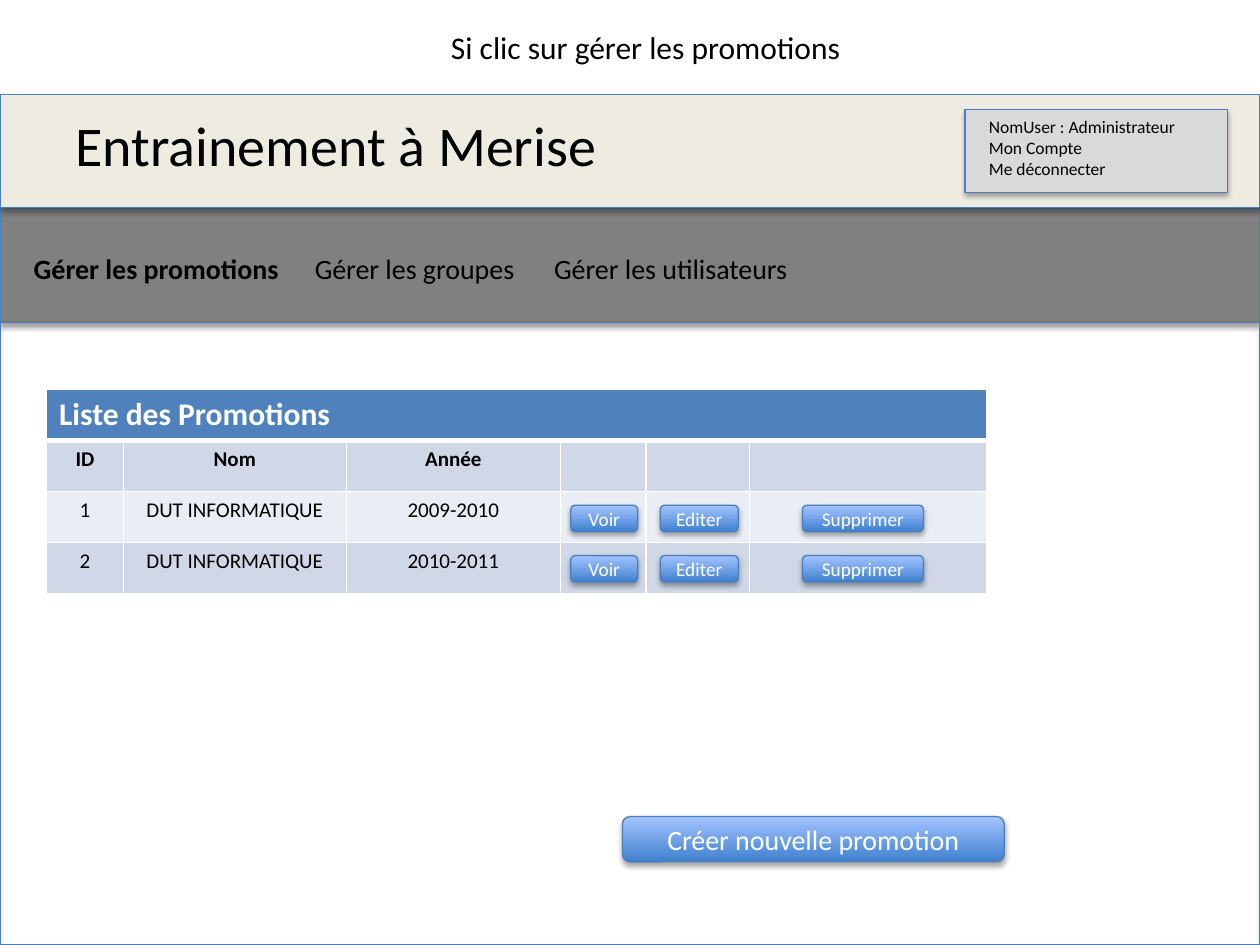
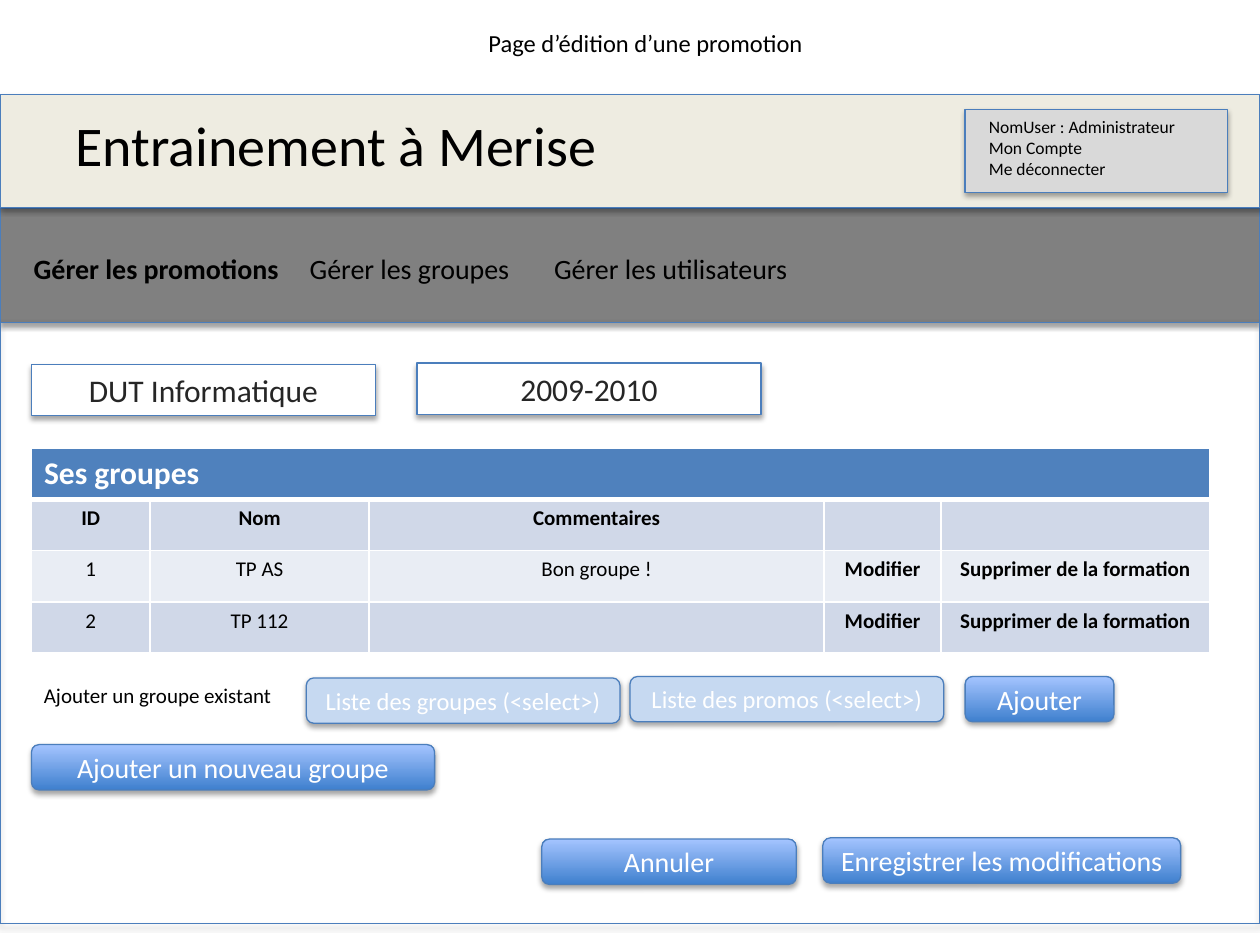
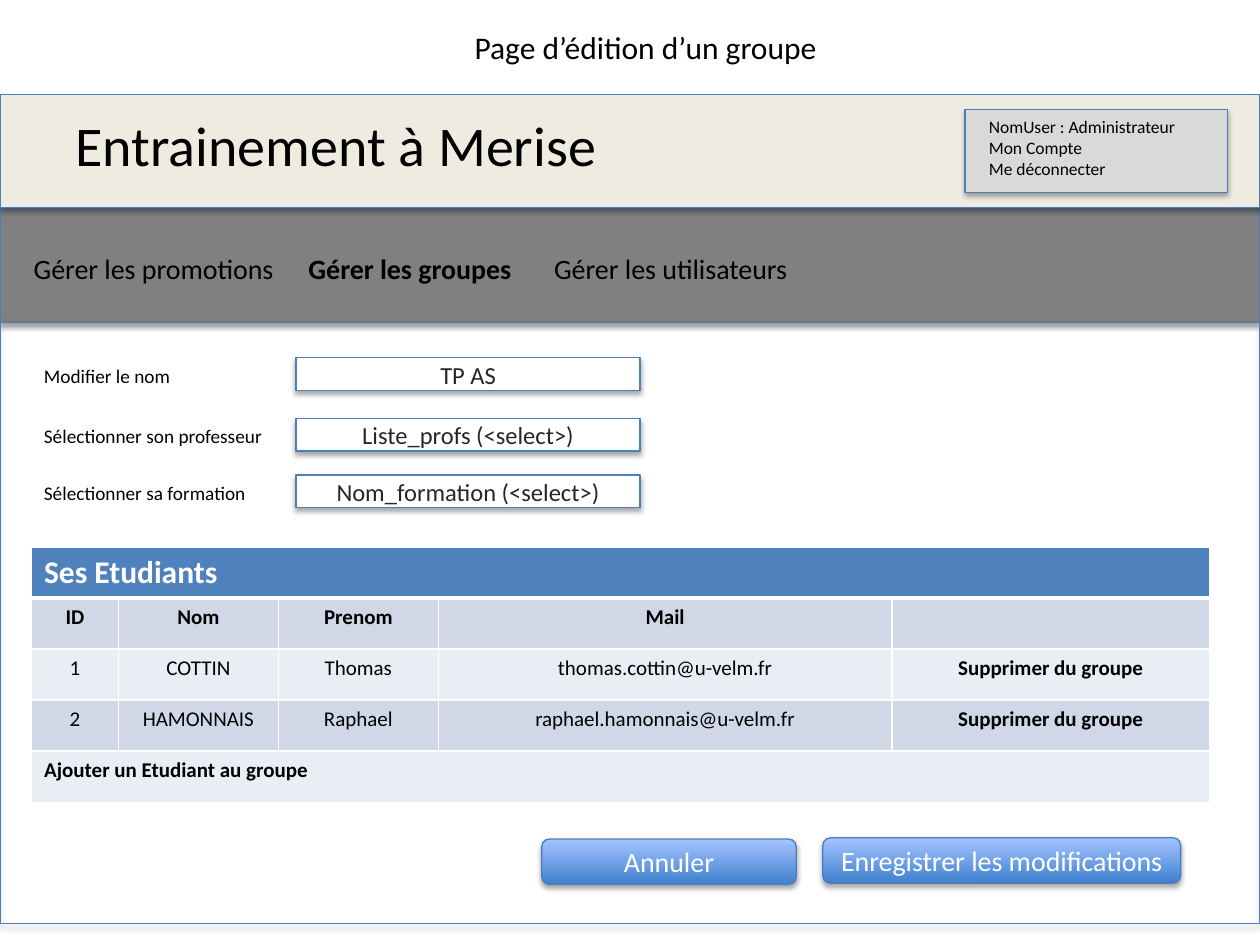
from lxml.etree import SubElement
from pptx import Presentation
from pptx.dml.color import RGBColor
from pptx.enum.shapes import MSO_SHAPE
from pptx.enum.text import MSO_ANCHOR, MSO_AUTO_SIZE, PP_ALIGN
from pptx.oxml.ns import qn
from pptx.util import Pt

# Shared look
FONT = "Calibri"
BLACK = RGBColor(0x00, 0x00, 0x00)
WHITE = RGBColor(0xFF, 0xFF, 0xFF)
INK = RGBColor(0x26, 0x26, 0x26)
OUTLINE = RGBColor(0x4B, 0x7E, 0xBC)
HEADER_CREAM = RGBColor(0xEE, 0xEC, 0xE1)
MENU_GREY = RGBColor(0x80, 0x80, 0x80)
ACCOUNT_GREY = RGBColor(0xD9, 0xD9, 0xD9)
SELECT_BLUE = RGBColor(0xC6, 0xD9, 0xF1)
BUTTON_DARK = RGBColor(0x3F, 0x80, 0xCE)
BUTTON_LIGHT = RGBColor(0xA4, 0xC4, 0xFF)
TABLE_HEAD = RGBColor(0x4F, 0x81, 0xBD)
TABLE_BANDS = (RGBColor(0xE9, 0xED, 0xF4), RGBColor(0xD0, 0xD8, 0xE8))

SLIDE_WIDTH, SLIDE_HEIGHT = 720, 540
HEADER_TOP, MENU_TOP, PAGE_TOP = 54, 118.8, 184.3
PAGE_BOTTOM = 527.8
MARGIN = 18
ROW_HEIGHT = 29.2
BUTTON_HEIGHT = 25.9


def box(left, top, width, height):
    return Pt(left), Pt(top), Pt(width), Pt(height)


def write(frame, text, size, color=BLACK, bold=False, align=PP_ALIGN.LEFT):
    """Fill a text frame, one paragraph per line of text."""
    frame.text = text
    for paragraph in frame.paragraphs:
        paragraph.alignment = align
        font = paragraph.font
        font.name, font.size, font.bold = FONT, Pt(size), bold
        font.color.rgb = color


def add_label(slide, bounds, text, size, bold=False):
    frame = slide.shapes.add_textbox(*box(*bounds)).text_frame
    frame.word_wrap = True
    frame.auto_size = MSO_AUTO_SIZE.SHAPE_TO_FIT_TEXT
    write(frame, text, size, bold=bold)


def add_shadow(shape):
    shape.shadow.inherit = False
    effects = shape._element.spPr.find(qn("a:effectLst"))
    shadow = SubElement(effects, qn("a:outerShdw"), blurRad=str(Pt(3.1)),
                        dist=str(Pt(1.8)), dir="5400000", rotWithShape="0")
    black = SubElement(shadow, qn("a:srgbClr"), val=str(BLACK))
    SubElement(black, qn("a:alpha"), val="35000")


def add_panel(slide, bounds, fill=None, kind=MSO_SHAPE.RECTANGLE):
    """Add an outlined shape with a soft shadow, hollow when no fill is given."""
    shape = slide.shapes.add_shape(kind, *box(*bounds))
    if fill is None:
        shape.fill.background()
    else:
        shape.fill.solid()
        shape.fill.fore_color.rgb = fill
    shape.line.color.rgb = OUTLINE
    shape.line.width = Pt(0.75)
    add_shadow(shape)
    return shape


def add_field(slide, bounds, text, size):
    shape = add_panel(slide, bounds, WHITE)
    write(shape.text_frame, text, size, INK, align=PP_ALIGN.CENTER)


def add_select(slide, bounds, text):
    shape = add_panel(slide, bounds, SELECT_BLUE, MSO_SHAPE.ROUNDED_RECTANGLE)
    write(shape.text_frame, text, 14, WHITE, align=PP_ALIGN.CENTER)


def add_button(slide, left, top, width, text, height=BUTTON_HEIGHT, size=16):
    shape = add_panel(slide, (left, top, width, height),
                      kind=MSO_SHAPE.ROUNDED_RECTANGLE)
    shape.fill.gradient()
    shape.fill.gradient_angle = 90
    for stop, color in zip(shape.fill.gradient_stops, (BUTTON_DARK, BUTTON_LIGHT)):
        stop.color.rgb = color
    write(shape.text_frame, text, size, WHITE, align=PP_ALIGN.CENTER)


def set_borders(cell, bottom):
    properties = cell._tc.get_or_add_tcPr()
    for side, width in (("L", 1), ("R", 1), ("T", 1), ("B", bottom)):
        line = SubElement(properties, qn("a:ln" + side), w=str(Pt(width)))
        fill = SubElement(line, qn("a:solidFill"))
        SubElement(fill, qn("a:srgbClr"), val=str(WHITE))


def add_list(slide, left, top, widths, title, rows, first_action, footer=None):
    """Add a banded table: title row, column names, records, optional footer."""
    blanks = [""] * (len(widths) - 1)
    lines = [[title] + blanks] + rows
    if footer:
        lines.append([footer] + blanks)
    table = slide.shapes.add_table(
        len(lines), len(widths),
        *box(left, top, sum(widths), ROW_HEIGHT * len(lines))).table
    for column, width in zip(table.columns, widths):
        column.width = Pt(width)

    for row, texts in enumerate(lines):
        table.rows[row].height = Pt(ROW_HEIGHT)
        is_title = row == 0
        spans = is_title or row > len(rows)
        for column, text in enumerate(texts):
            cell = table.cell(row, column)
            set_borders(cell, 3 if is_title else 1)
            cell.fill.solid()
            cell.fill.fore_color.rgb = TABLE_HEAD if is_title else TABLE_BANDS[row % 2]
            write(cell.text_frame, text, 18 if is_title else 12,
                  WHITE if is_title else BLACK,
                  bold=spans or row == 1 or column >= first_action,
                  align=PP_ALIGN.LEFT if spans else PP_ALIGN.CENTER)
        if spans:
            table.cell(row, 0).merge(table.cell(row, len(widths) - 1))


def add_page(presentation, caption, active, groups_left,
             caption_size=18, caption_height=29.1, page_bottom=PAGE_BOTTOM):
    """Add a slide with its caption, site header, menu and page frame."""
    slide = presentation.slides.add_slide(presentation.slide_layouts[5])
    title = slide.shapes.title
    title.left, title.top, title.width, title.height = box(
        138.2, 12.2, 461.5, caption_height)
    frame = title.text_frame
    frame.auto_size = MSO_AUTO_SIZE.NONE
    frame.vertical_anchor = MSO_ANCHOR.TOP
    write(frame, caption, caption_size, align=PP_ALIGN.CENTER)

    # Header and account box
    add_panel(slide, (0, MENU_TOP, SLIDE_WIDTH, PAGE_TOP - MENU_TOP), MENU_GREY)
    add_panel(slide, (0, HEADER_TOP, SLIDE_WIDTH, MENU_TOP - HEADER_TOP), HEADER_CREAM)
    add_label(slide, (36, 59.8, 318.2, 46), "Entrainement à Merise", 32)
    add_panel(slide, (551.5, 62.6, 149.8, 47.5), ACCOUNT_GREY)
    add_label(slide, (558, 62.6, 123.1, 43.9),
              "NomUser : Administrateur\nMon Compte\nMe déconnecter", 10)

    # Menu, with the current entry in bold
    menu = (("promotions", 12.2, 165), ("groupes", groups_left, 131.8),
            ("utilisateurs", 309.6, 160.6))
    for entry, left, width in menu:
        add_label(slide, (left, 140.4, width, 26.6), f"Gérer les {entry}", 16,
                  bold=entry == active)

    add_panel(slide, (0, PAGE_TOP, SLIDE_WIDTH, page_bottom - PAGE_TOP))
    return slide


def add_form_buttons(slide):
    add_button(slide, 309.6, 479.5, 145.4, "Annuler")
    add_button(slide, 470.2, 478.8, 204.5, "Enregistrer les modifications")


def build_promotions(presentation):
    slide = add_page(presentation, "Si clic sur gérer les promotions", "promotions",
                     172.8, page_bottom=SLIDE_HEIGHT)
    rows = [["ID", "Nom", "Année", "", "", ""],
            ["1", "DUT INFORMATIQUE", "2009-2010", "", "", ""],
            ["2", "DUT INFORMATIQUE", "2010-2011", "", "", ""]]
    add_list(slide, 26.6, 222.5, (43.9, 127.4, 122.4, 49, 59, 135.4),
             "Liste des Promotions", rows, first_action=3)
    for top in (288.7, 317.5):
        for left, width, text in ((326.2, 38.2, "Voir"), (377.3, 44.6, "Editer"),
                                  (458.6, 69.1, "Supprimer")):
            add_button(slide, left, top, width, text, height=15.1, size=11)
    add_button(slide, 355.7, 466.6, 218.2, "Créer nouvelle promotion")


def build_promotion_form(presentation):
    slide = add_page(presentation, "Page d’édition d’une promotion", "promotions",
                     169.9, caption_size=14, caption_height=24.2)
    add_form_buttons(slide)
    actions = ["Modifier", "Supprimer de la formation"]
    rows = [["ID", "Nom", "Commentaires", "", ""],
            ["1", "TP AS", "Bon groupe !"] + actions,
            ["2", "TP 112", ""] + actions]
    add_list(slide, MARGIN, 256.3, (67.7, 125.3, 259.9, 67, 153.3),
             "Ses groupes", rows, first_action=3)
    add_field(slide, (MARGIN, 208.1, 196.6, 29.5), "DUT Informatique", 18)
    add_field(slide, (238.3, 207.4, 196.6, 29.5), "2009-2010", 18)

    # Adding an existing or a new group
    add_label(slide, (MARGIN, 386.6, 147.6, 21.8), "Ajouter un groupe existant", 12)
    add_select(slide, (175, 387.4, 179.3, BUTTON_HEIGHT), "Liste des groupes (<select>)")
    add_select(slide, (360, 386.6, 179.3, BUTTON_HEIGHT), "Liste des promos (<select>)")
    add_button(slide, 551.5, 386.6, 85, "Ajouter")
    add_button(slide, MARGIN, 425.5, 230.4, "Ajouter un nouveau groupe")


def build_group_form(presentation):
    slide = add_page(presentation, "Page d’édition d’un groupe", "groupes", 169.2)
    fields = ((204.5, "Modifier le nom", "TP AS"),
              (239, "Sélectionner son professeur", "Liste_profs (<select>)"),
              (271.4, "Sélectionner sa formation", "Nom_formation (<select>)"))
    for top, label, value in fields:
        add_label(slide, (MARGIN, top, 142.6, 20.9), label, 11)
        add_field(slide, (169.2, top, 196.6, 18.7), value, 14)
    rows = [["ID", "Nom", "Prenom", "Mail", ""],
            ["1", "COTTIN", "Thomas", "thomas.cottin@u-velm.fr", "Supprimer du groupe"],
            ["2", "HAMONNAIS", "Raphael", "raphael.hamonnais@u-velm.fr",
             "Supprimer du groupe"]]
    add_list(slide, MARGIN, 312.5, (49.7, 91.4, 91.4, 259.2, 181.5),
             "Ses Etudiants", rows, first_action=4,
             footer="Ajouter un Etudiant au groupe")
    add_form_buttons(slide)


def main():
    presentation = Presentation()
    presentation.slide_width = Pt(SLIDE_WIDTH)
    presentation.slide_height = Pt(SLIDE_HEIGHT)
    build_promotions(presentation)
    build_promotion_form(presentation)
    build_group_form(presentation)
    presentation.save("out.pptx")


main()
